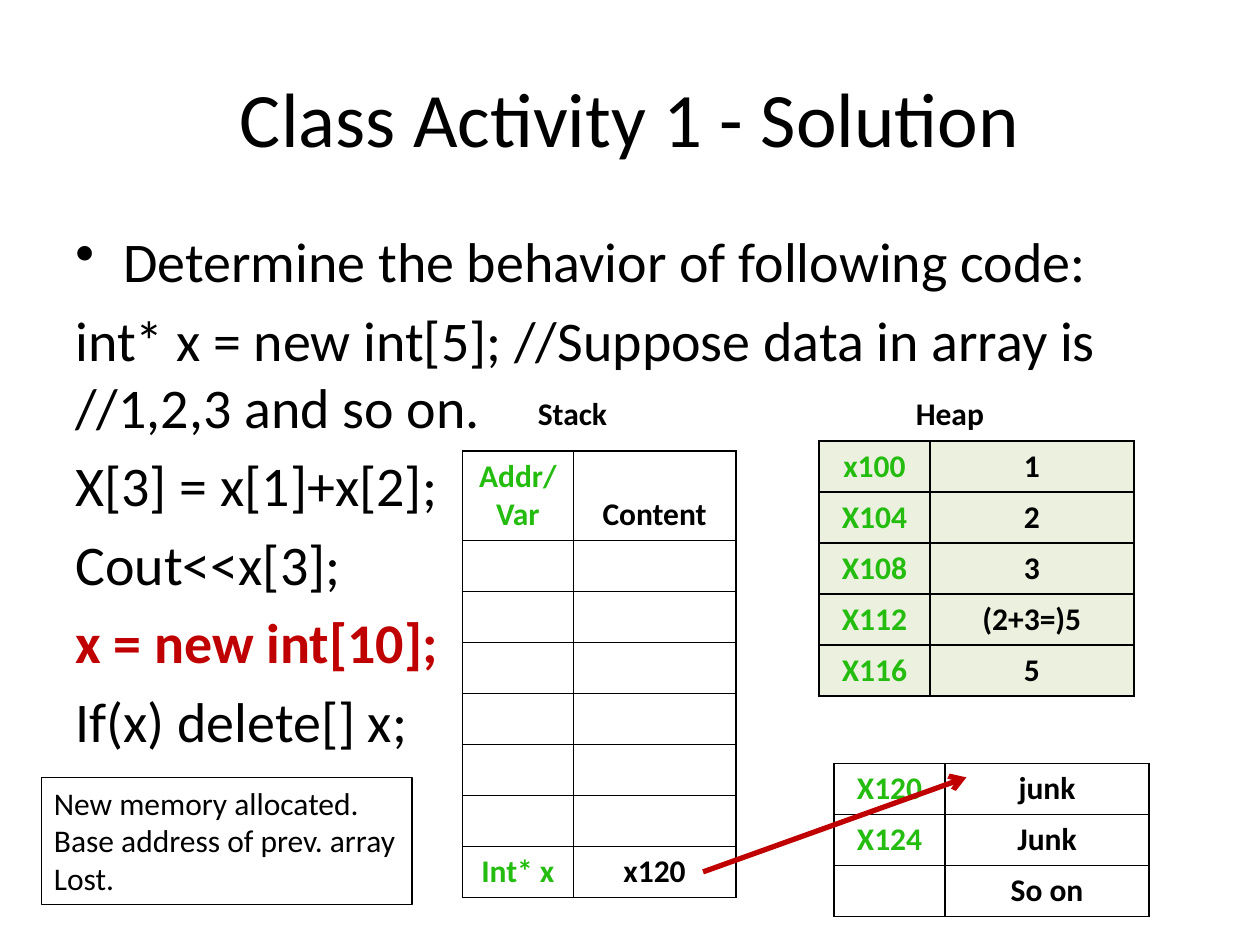
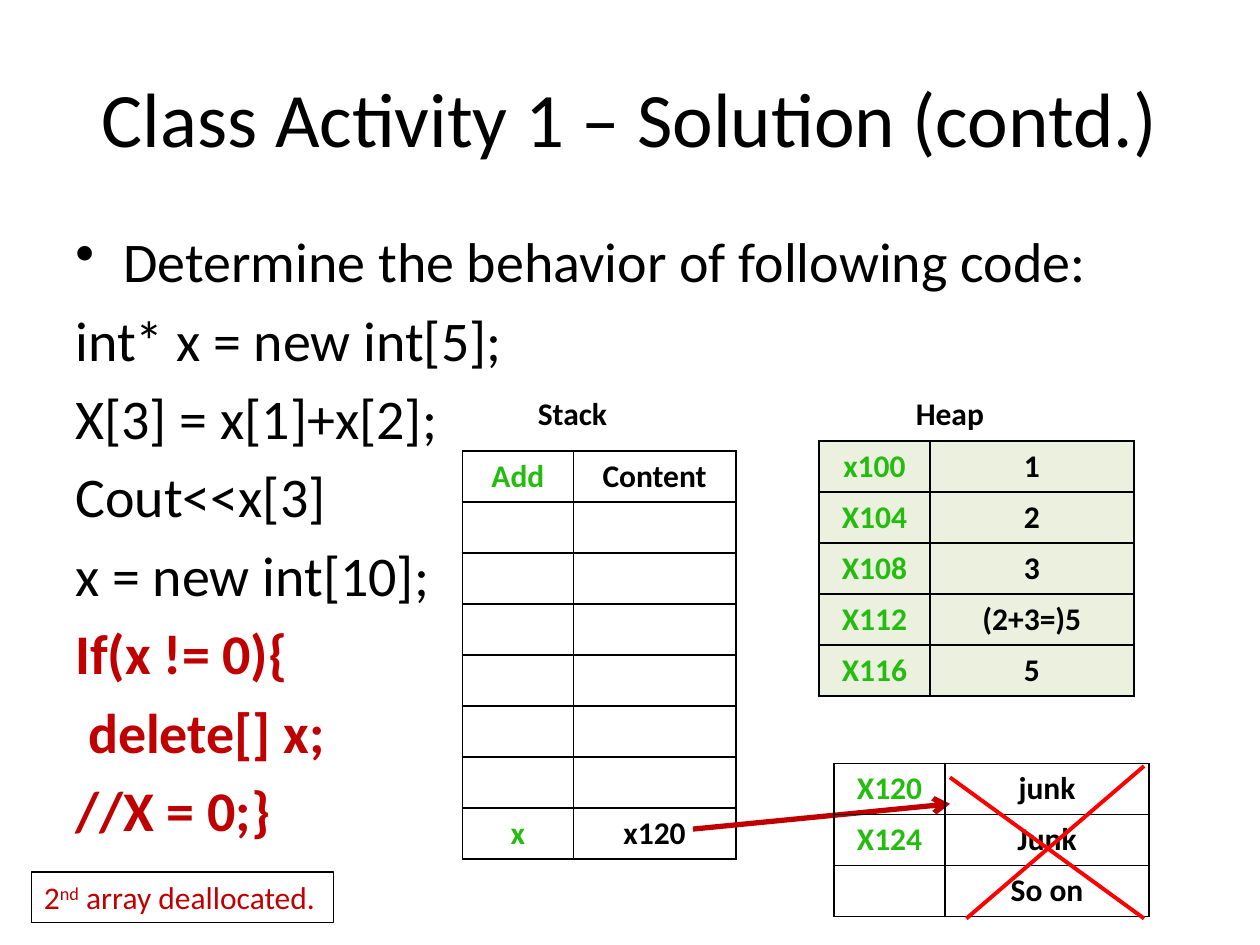
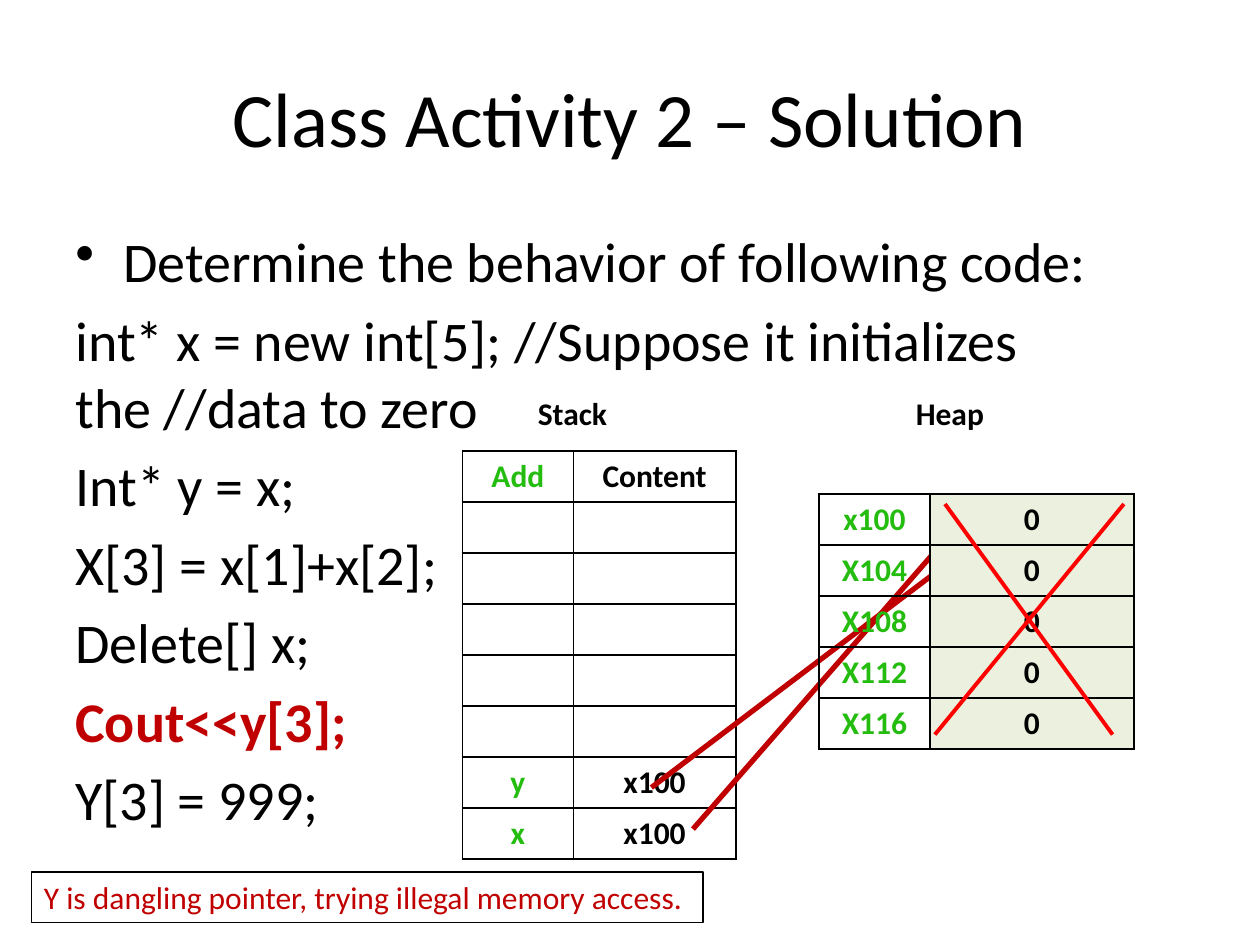
from pptx import Presentation
from pptx.dml.color import RGBColor
from pptx.enum import shapes, text
from pptx.oxml import ns, xmlchemy
from pptx.util import Inches, Pt

FONT = "Calibri"
BLACK = RGBColor(0x00, 0x00, 0x00)
GREEN = RGBColor(0x24, 0xBD, 0x0F)
DARK_RED = RGBColor(0xC0, 0x00, 0x00)
RED = RGBColor(0xFF, 0x00, 0x00)
PALE_GREEN = RGBColor(0xEB, 0xF1, 0xDE)

ROW_HEIGHT = Inches(0.81) // 2
TALL_HEADER = Inches(0.71)
STACK_COLUMNS = (0.88, 1.29)
HEAP_COLUMNS = (0.88, 1.62)

QUESTION = "Determine the behavior of following code:"
EMPTY = ("", "")
HEAP_ADDRESSES = ("x100", "X104", "X108", "X112", "X116")
FIRST_ARRAY = list(zip(HEAP_ADDRESSES, ("1", "2", "3", "(2+3=)5", "5")))
ZERO_ARRAY = [(address, "0") for address in HEAP_ADDRESSES]
SECOND_ARRAY = [("X120", "junk"), ("X124", "Junk"), ("", "So on")]


def add_child(parent, tag, **attributes):
    child = xmlchemy.OxmlElement(tag)
    for name, value in attributes.items():
        child.set(name, value)
    parent.append(child)
    return child


def style(paragraph, size, color=BLACK, bold=False):
    font = paragraph.font
    font.name, font.size, font.bold = FONT, Pt(size), bold
    font.color.rgb = color


def add_text_box(slide, left, top, width, height, wrap=True):
    box = slide.shapes.add_textbox(*map(Inches, (left, top, width, height)))
    box.text_frame.word_wrap = wrap
    if not wrap:
        box.text_frame.auto_size = text.MSO_AUTO_SIZE.SHAPE_TO_FIT_TEXT
    return box


def add_title(slide, title):
    frame = add_text_box(slide, 0.5, 0.3, 9, 1.25).text_frame
    frame.vertical_anchor = text.MSO_ANCHOR.MIDDLE
    paragraph = frame.paragraphs[0]
    paragraph.text = title
    paragraph.alignment = text.PP_ALIGN.CENTER
    style(paragraph, 44)


def add_code(slide, lines, highlighted, height):
    """Write the bulleted question and the code, with the highlighted lines in red."""
    frame = add_text_box(slide, 0.5, 1.75, 9, height).text_frame
    frame.text = "\n".join([QUESTION, *lines])
    for paragraph in frame.paragraphs:
        paragraph.space_before = Pt(6.4)
        marked = paragraph.text in highlighted
        style(paragraph, 32, DARK_RED if marked else BLACK, marked)
    properties = frame.paragraphs[0]._p.get_or_add_pPr()
    properties.set("marL", str(Inches(0.38)))
    properties.set("indent", str(-Inches(0.38)))
    bullet = xmlchemy.OxmlElement("a:buChar")
    bullet.set("char", "•")
    properties.find(ns.qn("a:defRPr")).addprevious(bullet)


def add_memory_labels(slide):
    for label, left, width in (("Stack", 4.17, 0.76), ("Heap", 7.17, 0.74)):
        paragraph = add_text_box(slide, left, 3.08, width, 0.4, False).text_frame.paragraphs[0]
        paragraph.text = label
        style(paragraph, 18, bold=True)


def add_borders(cell):
    properties = cell._tc.get_or_add_tcPr()
    for side in ("a:lnL", "a:lnR", "a:lnT", "a:lnB"):
        border = add_child(properties, side, w=str(Pt(1)))
        add_child(add_child(border, "a:solidFill"), "a:srgbClr", val=str(BLACK))


def add_memory_table(slide, left, top, columns, rows, fills=(None, None)):
    """Draw address and content columns, each with its own fill or none."""
    table = slide.shapes.add_table(
        len(rows), len(columns), Inches(left), Inches(top),
        Inches(sum(columns)), ROW_HEIGHT * len(rows)).table
    table.first_row = table.horz_banding = False
    for column, width in zip(table.columns, columns):
        column.width = Inches(width)
    for row, values in zip(table.rows, rows):
        row.height = ROW_HEIGHT
        for cell, value, color, fill in zip(row.cells, values, (GREEN, BLACK), fills):
            add_borders(cell)
            if fill is None:
                cell.fill.background()
            else:
                cell.fill.solid()
                cell.fill.fore_color.rgb = fill
            paragraph = cell.text_frame.paragraphs[0]
            paragraph.text = value
            paragraph.alignment = text.PP_ALIGN.CENTER
            style(paragraph, 18, color, True)
    return table


def add_stack(slide, variables, header="Add"):
    """Draw the eight-row stack with the variables at its bottom."""
    blanks = [EMPTY] * (7 - len(variables))
    rows = [(header, "Content"), *blanks, *variables]
    return add_memory_table(slide, 3.67, 3.58, STACK_COLUMNS, rows)


def add_first_array(slide):
    add_memory_table(slide, 6.5, 3.5, HEAP_COLUMNS, FIRST_ARRAY, (PALE_GREEN, PALE_GREEN))


def add_second_array(slide):
    add_memory_table(slide, 6.62, 6.06, HEAP_COLUMNS, SECOND_ARRAY)


def add_line(slide, start, end, color, width):
    line = slide.shapes.add_connector(
        shapes.MSO_CONNECTOR.STRAIGHT, *map(Inches, (*start, *end)))
    line.line.color.rgb = color
    line.line.width = Pt(width)
    add_child(line._element.spPr, "a:effectLst")
    return line


def add_pointer(slide, start, end):
    arrow = add_line(slide, start, end, DARK_RED, 3)
    add_child(arrow.line._get_or_add_ln(), "a:tailEnd", type="arrow")


def add_cross(slide, *strokes):
    for start, end in strokes:
        add_line(slide, start, end, RED, 2.25)


def add_note(slide, left, top, width, height, lines, color=DARK_RED):
    """Draw a framed note; each line is a list of runs, every second one raised."""
    box = add_text_box(slide, left, top, width, height, False)
    box.line.color.rgb = BLACK
    box.line.width = Pt(0.75)
    frame = box.text_frame
    for index, runs in enumerate(lines):
        paragraph = frame.add_paragraph() if index else frame.paragraphs[0]
        style(paragraph, 18, color)
        for position, words in enumerate(runs):
            run = paragraph.add_run()
            run.text = words
            if position % 2:
                run._r.get_or_add_rPr().set("baseline", "30000")


def build_allocation(slide):
    add_title(slide, "Class Activity 1 - Solution")
    add_code(slide, [
        "int* x = new int[5]; //Suppose data in array is //1,2,3 and so on.",
        "X[3] = x[1]+x[2];", "Cout<<x[3];", "x = new int[10];", "If(x) delete[] x;",
    ], ["x = new int[10];"], 5.67)
    stack = add_stack(slide, [("Int* x", "x120")], "Addr/Var")
    stack.rows[0].height = TALL_HEADER
    for cell in stack.rows[0].cells:
        cell.vertical_anchor = text.MSO_ANCHOR.BOTTOM
    add_second_array(slide)
    add_memory_labels(slide)
    add_pointer(slide, (5.58, 6.92), (7.67, 6.17))
    add_note(slide, 0.33, 6.17, 2.94, 1.01, [
        ["New memory allocated."], ["Base address of prev. array"], ["Lost."]], BLACK)
    add_first_array(slide)


def build_deallocation(slide):
    add_title(slide, "Class Activity 1 – Solution (contd.)")
    deletion = ["If(x != 0){", " delete[] x;", "//X = 0;}"]
    add_code(slide, [
        "int* x = new int[5];", "X[3] = x[1]+x[2];", "Cout<<x[3]", "x = new int[10];",
        *deletion], deletion, 5.58)
    add_stack(slide, [("x", "x120")])
    add_memory_labels(slide)
    add_pointer(slide, (5.5, 6.58), (7.54, 6.38))
    add_note(slide, 0.25, 6.92, 2.4, 0.4, [["2", "nd", " array deallocated."]])
    add_second_array(slide)
    add_first_array(slide)
    add_cross(slide, ((7.54, 6.17), (9.08, 7.29)), ((9.08, 6.08), (7.67, 7.29)))


def build_dangling_pointer(slide):
    add_title(slide, "Class Activity 2 – Solution")
    add_code(slide, [
        "int* x = new int[5]; //Suppose it initializes the //data to zero",
        "Int* y = x;", "X[3] = x[1]+x[2];", "Delete[] x;", "Cout<<y[3];", "Y[3] = 999;",
    ], ["Cout<<y[3];"], 4.95)
    add_stack(slide, [("y", "x100"), ("x", "x100")])
    add_memory_labels(slide)
    add_pointer(slide, (5.5, 6.58), (7.75, 4))
    add_pointer(slide, (5.17, 6.25), (7.92, 4.17))
    add_memory_table(slide, 6.5, 3.92, HEAP_COLUMNS, ZERO_ARRAY, (None, PALE_GREEN))
    add_cross(slide, ((7.5, 4), (8.83, 5.83)), ((8.92, 4), (7.42, 5.83)))
    add_note(slide, 0.25, 6.92, 5.33, 0.4,
             [["Y is dangling pointer, trying illegal memory access."]])


def main():
    presentation = Presentation()
    presentation.slide_width, presentation.slide_height = Inches(10), Inches(7.5)
    blank = presentation.slide_layouts[6]
    for build in (build_allocation, build_deallocation, build_dangling_pointer):
        build(presentation.slides.add_slide(blank))
    presentation.save("out.pptx")


if __name__ == "__main__":
    main()
